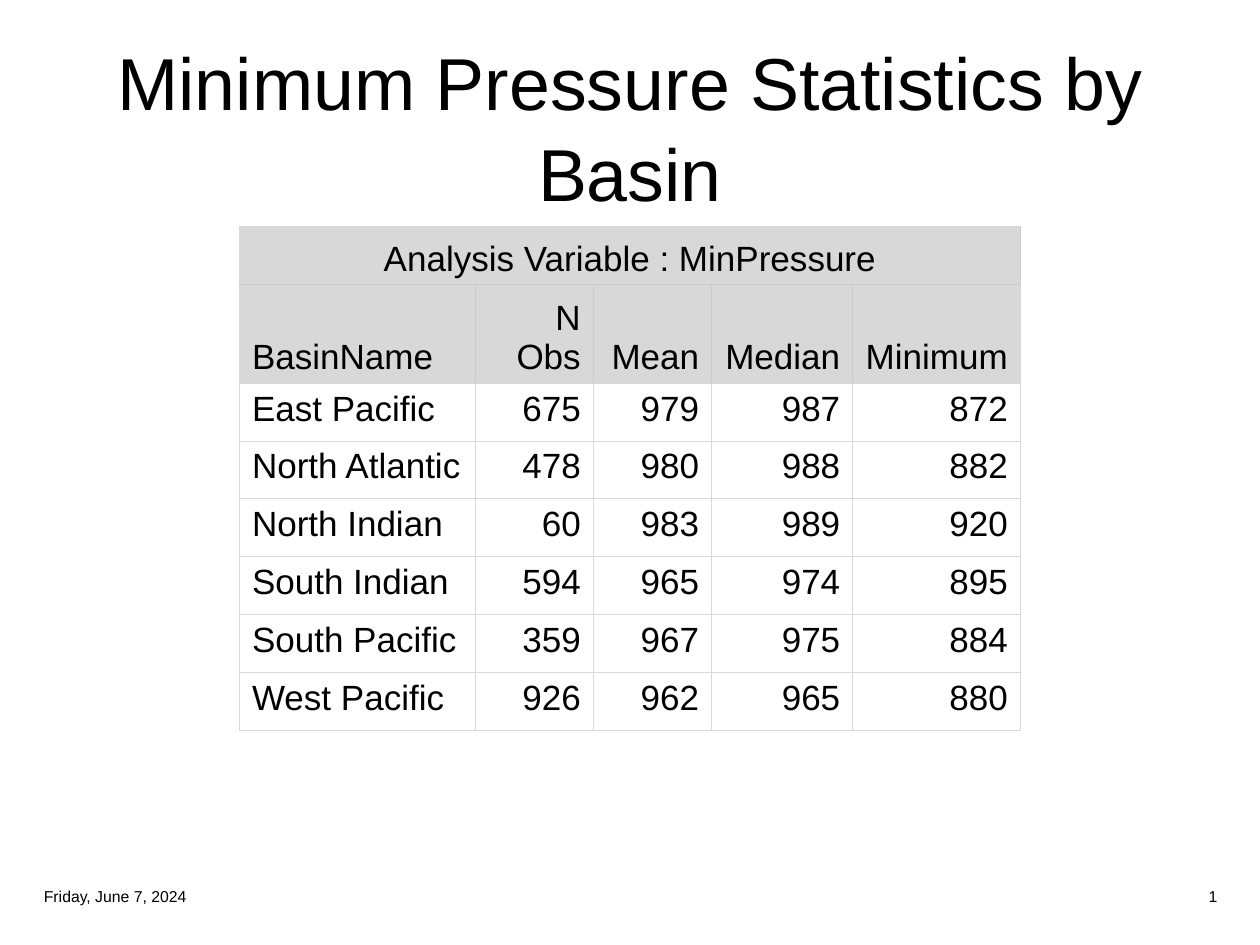
from pptx import Presentation
from pptx.dml.color import RGBColor
from pptx.enum.text import MSO_ANCHOR, PP_ALIGN
from pptx.oxml.ns import qn
from pptx.util import Inches, Pt
from lxml.etree import SubElement

COLORS = {"text": "000000", "header": "D8D8D8", "body": "FFFFFF",
          "grid": "D8D8D8", "header_grid": "CCCCCC"}
COL_WIDTHS = [1.87, 0.94, 0.94, 1.12, 1.33]
ROW_HEIGHTS = [0.46, 0.78] + [0.46] * 6
ROWS = [
    ["Analysis Variable : MinPressure"],
    ["BasinName", "N\nObs", "Mean", "Median", "Minimum"],
    ["East Pacific", "675", "979", "987", "872"],
    ["North Atlantic", "478", "980", "988", "882"],
    ["North Indian", "60", "983", "989", "920"],
    ["South Indian", "594", "965", "974", "895"],
    ["South Pacific", "359", "967", "975", "884"],
    ["West Pacific", "926", "962", "965", "880"],
]


def write_text(tf, text, size, align):
    p = tf.paragraphs[0]
    p.alignment = align
    for i, line in enumerate(text.split("\n")):
        if i:
            p.add_line_break()
        r = p.add_run()
        r.text = line
        for name, value in {"name": "Arial", "size": Pt(size)}.items():
            setattr(r.font, name, value)
        r.font.color.rgb = RGBColor.from_string(COLORS["text"])
    return p


def add_text(s, box, text, size, align):
    sp = s.shapes.add_textbox(*map(Inches, box))
    tf = sp.text_frame
    tf.word_wrap = True
    tf.vertical_anchor = MSO_ANCHOR.MIDDLE
    return write_text(tf, text, size, align)


def set_borders(cell, colors):
    tc_pr = cell._tc.get_or_add_tcPr()
    for side, color in zip(("lnL", "lnR", "lnT", "lnB"), colors):
        ln = SubElement(tc_pr, qn(f"a:{side}"), w=str(Pt(0.5)))
        fill = SubElement(ln, qn("a:solidFill"))
        SubElement(fill, qn("a:srgbClr"), val=COLORS[color])


def border_colors(row, col):
    if row > 1:
        return ["grid"] * 4
    left = "grid" if col == 0 else "header_grid"
    right = "grid" if row == 1 and col == len(COL_WIDTHS) - 1 else "header_grid"
    top = "grid" if row == 0 else "header_grid"
    return [left, right, top, "header_grid"]


def add_statistics(s):
    size = map(Inches, (1.9, 1.8, sum(COL_WIDTHS), sum(ROW_HEIGHTS)))
    table = s.shapes.add_table(len(ROWS), len(COL_WIDTHS), *size).table
    table.horz_banding = False
    table.first_row = False
    for column, width in zip(table.columns, COL_WIDTHS):
        column.width = Inches(width)
    for row, height in zip(table.rows, ROW_HEIGHTS):
        row.height = Inches(height)
    table.cell(0, 0).merge(table.cell(0, len(COL_WIDTHS) - 1))
    for i in range(len(ROWS)):
        for j in range(len(COL_WIDTHS)):
            cell = table.cell(i, j)
            set_borders(cell, border_colors(i, j))
            cell.fill.solid()
            fill = COLORS["header" if i < 2 else "body"]
            cell.fill.fore_color.rgb = RGBColor.from_string(fill)
            cell.vertical_anchor = MSO_ANCHOR.BOTTOM if i < 2 else MSO_ANCHOR.TOP
            if j < len(ROWS[i]):
                align = PP_ALIGN.RIGHT if j else PP_ALIGN.LEFT
                if i == 0:
                    align = PP_ALIGN.CENTER
                write_text(cell.text_frame, ROWS[i][j], 20, align)


def main():
    prs = Presentation()
    prs.slide_width, prs.slide_height = Inches(10), Inches(7.5)
    s = prs.slides.add_slide(prs.slide_layouts[6])
    title = add_text(s, (0.25, 0.25, 9.5, 1.48),
                     "Minimum Pressure Statistics by\nBasin", 42, PP_ALIGN.CENTER)
    title.line_spacing = 1.04
    add_statistics(s)
    add_text(s, (0.25, 6.97, 2.38, 0.28), "Friday, June 7, 2024", 9, PP_ALIGN.LEFT)
    add_text(s, (7.38, 6.97, 2.38, 0.28), "1", 9, PP_ALIGN.RIGHT)
    prs.save("out.pptx")


if __name__ == "__main__":
    main()
